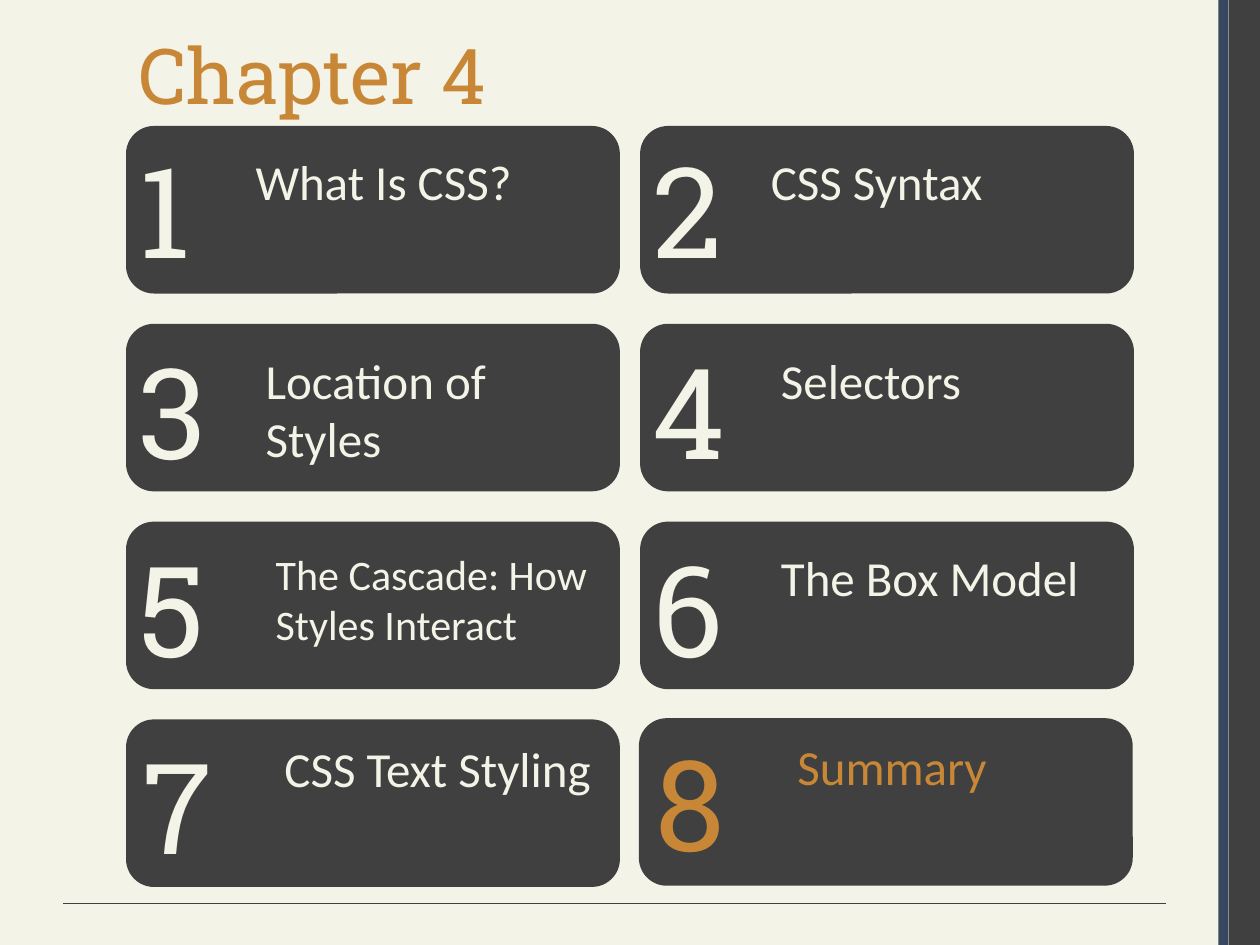
from dataclasses import dataclass

import pptx
import pptx.dml.color
import pptx.enum.shapes
import pptx.enum.text
import pptx.oxml.ns
import pptx.util
from lxml import etree
from pptx.slide import Slide


@dataclass(frozen=True)
class Theme:
    paper: str = "F3F3E7"
    charcoal: str = "404040"
    navy: str = "37475F"
    accent: str = "C88736"
    heading_font: str = "Roboto Slab"
    body_font: str = "Calibri"
    title_size: int = 44
    number_size: int = 72
    label_size: int = 28
    small_label_size: int = 24


@dataclass(frozen=True)
class Box:
    left: float
    top: float
    width: float
    height: float

    def inside(self, dx: float, dy: float, width: float, height: float) -> "Box":
        """Return a box offset from this one's top-left corner."""
        return Box(self.left + dx, self.top + dy, width, height)

    def emu(self) -> list[int]:
        return [pptx.util.Inches(v) for v in (self.left, self.top, self.width, self.height)]


@dataclass(frozen=True)
class Grid:
    left: float = 1
    top: float = 1
    column_step: float = 4.08
    row_step: float = 1.57
    card_width: float = 3.92
    card_height: float = 1.33
    columns: int = 2

    def card(self, index: int) -> Box:
        row, column = divmod(index, self.columns)
        return Box(self.left + column * self.column_step, self.top + row * self.row_step,
                   self.card_width, self.card_height)


@dataclass(frozen=True)
class Topic:
    label: str
    label_dx: float
    label_dy: float = 0.16
    label_height: float = 0.57
    number_dx: float = 0
    number_dy: float = 0.03
    nudge: float = 0
    size: int = Theme.label_size
    color: str = Theme.paper


THEME = Theme()
GRID = Grid()
SLIDE_WIDTH, SLIDE_HEIGHT = 10, 7.5
NUMBER_WIDTH, NUMBER_HEIGHT = 0.75, 1.31
LABEL_WIDTH = 2.76
TOPICS = [
    Topic("What Is CSS?", 0.93, 0.15, number_dy=0),
    Topic("CSS Syntax", 0.94, 0.15, number_dy=0),
    Topic("Location of Styles", 1.01, label_height=1.04),
    Topic("Selectors", 1.02),
    Topic("The Cascade: How Styles Interact", 1.09, label_height=0.91,
          size=THEME.small_label_size),
    Topic("The Box Model", 1.02),
    Topic("CSS Text Styling", 1.16, 0.1, number_dx=0.03, number_dy=0.02),
    Topic("Summary", 1.16, 0.1, number_dx=0.03, number_dy=0.01, nudge=-0.01,
          color=THEME.accent),
]


def rgb(color: str) -> pptx.dml.color.RGBColor:
    return pptx.dml.color.RGBColor.from_string(color)


def add_block(slide: Slide, kind: pptx.enum.shapes.MSO_SHAPE, box: Box, color: str) -> None:
    block = slide.shapes.add_shape(kind, *box.emu())
    block.shadow.inherit = False
    block.fill.solid()
    block.fill.fore_color.rgb = rgb(color)
    block.line.fill.background()


def add_text(slide: Slide, box: Box, text: str, font: str, size: int, color: str,
             grow: bool = True) -> None:
    frame = slide.shapes.add_textbox(*box.emu()).text_frame
    frame.word_wrap = True
    fit = pptx.enum.text.MSO_AUTO_SIZE
    frame.auto_size = fit.SHAPE_TO_FIT_TEXT if grow else fit.NONE
    run = frame.paragraphs[0].add_run()
    run.text = text
    run.font.name = font
    run.font.size = pptx.util.Pt(size)
    run.font.color.rgb = rgb(color)


def add_rule(slide: Slide, start: float, end: float, y: float) -> None:
    rule = slide.shapes.add_connector(
        pptx.enum.shapes.MSO_CONNECTOR.STRAIGHT,
        *(pptx.util.Inches(v) for v in (start, y, end, y)))
    rule.line.color.rgb = rgb(THEME.charcoal)
    rule.line.width = pptx.util.Pt(0.75)
    properties = rule._element.spPr
    etree.SubElement(properties, pptx.oxml.ns.qn("a:effectLst"))


def add_topic(slide: Slide, index: int, topic: Topic) -> None:
    card = GRID.card(index).inside(topic.nudge, topic.nudge, GRID.card_width, GRID.card_height)
    add_block(slide, pptx.enum.shapes.MSO_SHAPE.ROUNDED_RECTANGLE, card, THEME.charcoal)
    add_text(slide, card.inside(topic.number_dx, topic.number_dy, NUMBER_WIDTH, NUMBER_HEIGHT),
             str(index + 1), THEME.heading_font, THEME.number_size, topic.color)
    add_text(slide, card.inside(topic.label_dx, topic.label_dy, LABEL_WIDTH, topic.label_height),
             topic.label, THEME.body_font, topic.size, topic.color)


def main() -> None:
    deck = pptx.Presentation()
    deck.slide_width = pptx.util.Inches(SLIDE_WIDTH)
    deck.slide_height = pptx.util.Inches(SLIDE_HEIGHT)
    slide = deck.slides.add_slide(deck.slide_layouts[6])
    slide.background.fill.solid()
    slide.background.fill.fore_color.rgb = rgb(THEME.paper)

    rectangle = pptx.enum.shapes.MSO_SHAPE.RECTANGLE
    add_block(slide, rectangle, Box(9.75, 0, 0.25, SLIDE_HEIGHT), THEME.charcoal)
    add_block(slide, rectangle, Box(9.67, 0, 0.08, SLIDE_HEIGHT), THEME.navy)
    add_rule(slide, 0.05 * SLIDE_WIDTH, 0.925 * SLIDE_WIDTH, 7.17)
    add_text(slide, Box(GRID.left, 0.17, 8.67, 1.17), "Chapter 4", THEME.heading_font,
             THEME.title_size, THEME.accent, grow=False)
    for index, topic in enumerate(TOPICS):
        add_topic(slide, index, topic)
    deck.save("out.pptx")


if __name__ == "__main__":
    main()
